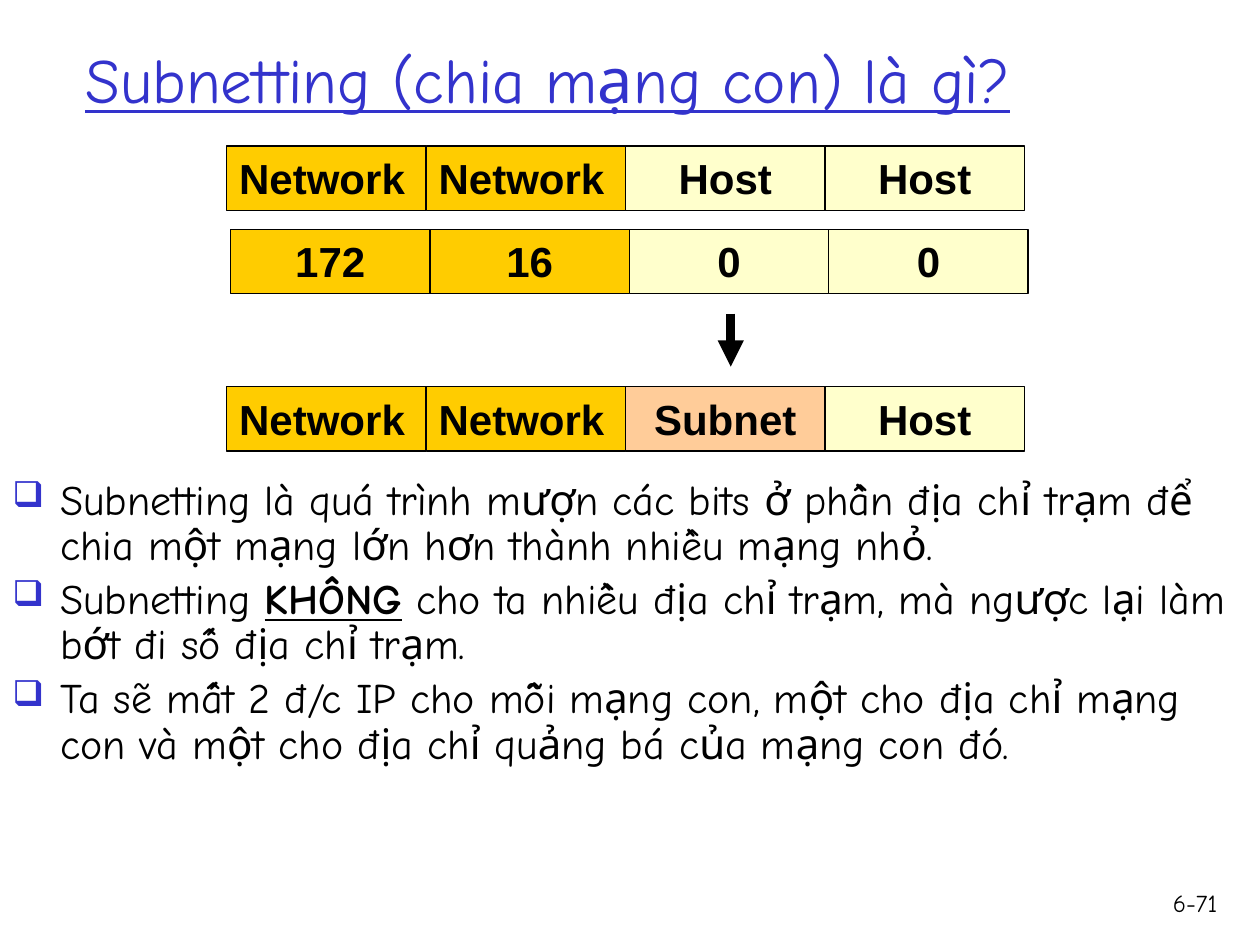
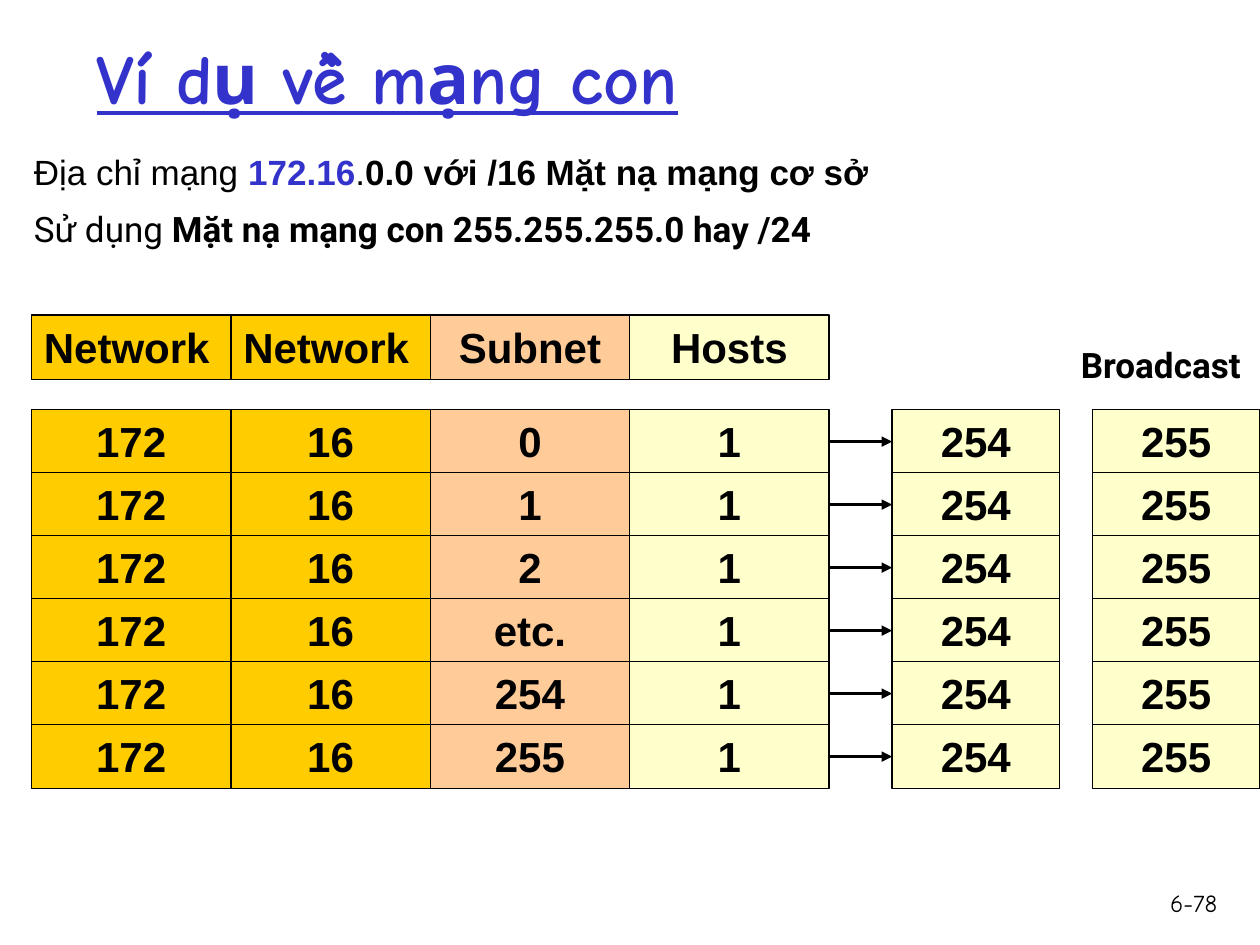
from dataclasses import dataclass

from lxml import etree
from pptx import Presentation
from pptx.dml.color import RGBColor
from pptx.enum.shapes import MSO_CONNECTOR, MSO_SHAPE
from pptx.enum.text import MSO_ANCHOR, PP_ALIGN
from pptx.oxml.ns import qn
from pptx.util import Inches, Pt

LEFT, CENTER, RIGHT = PP_ALIGN.LEFT, PP_ALIGN.CENTER, PP_ALIGN.RIGHT
TOP, MIDDLE = MSO_ANCHOR.TOP, MSO_ANCHOR.MIDDLE
RECTANGLE, STRAIGHT = MSO_SHAPE.RECTANGLE, MSO_CONNECTOR.STRAIGHT
LEFT_SIDE, RIGHT_SIDE = 1, 3


@dataclass(frozen=True)
class Theme:
    accent: str = "3333CC"
    ink: str = "000000"
    network: str = "FFCC00"
    subnet: str = "FFCC99"
    host: str = "FFFFCC"
    hand_font: str = "Comic Neue"
    cell_font: str = "Arial"
    label_font: str = "Roboto"
    number_size: int = 14
    label_size: int = 20
    text_size: int = 24
    cell_line: float = 0.75


THEME = Theme()

# Content: a run is plain text or (text, format changes)
BOLD = {"bold": True}

WHAT_TITLE = "Subnetting (chia mạng con) là gì?"
WHAT_POINTS = [
    ["Subnetting là quá trình mượn các bits ở phần địa chỉ trạm để chia một "
     "mạng lớn hơn thành nhiều mạng nhỏ."],
    ["Subnetting ", ("KHÔNG", {"bold": True, "underline": True}),
     " cho ta nhiều địa chỉ trạm, mà ngược lại làm bớt đi số địa chỉ trạm."],
    ["Ta sẽ mất 2 đ/c IP cho mỗi mạng con, một cho địa chỉ mạng con và một "
     "cho địa chỉ quảng bá của mạng con đó."],
]
PLAIN_FILLS = [THEME.network, THEME.network, THEME.host, THEME.host]
SUBNET_FILLS = [THEME.network, THEME.network, THEME.subnet, THEME.host]
WHAT_ROWS = [  # left, top, texts, fills
    (1.8, 1.16, ["Network", "Network", "Host", "Host"], PLAIN_FILLS),
    (1.83, 1.82, ["172", "16", "0", "0"], PLAIN_FILLS),
    (1.8, 3.07, ["Network", "Network", "Subnet", "Host"], SUBNET_FILLS),
]

EXAMPLE_TITLE = "Ví dụ về mạng con"
BASE_MASK = [["Địa chỉ mạng ", ("172.16", {"bold": True, "color": THEME.accent}),
              ".", ("0.0 với /16 Mặt nạ mạng cơ sở", BOLD)]]
SUBNET_MASK = [["Sử dụng ", ("Mặt nạ mạng con 255.255.255.0 hay /24", BOLD)]]
EXAMPLE_HEADS = ["Network", "Network", "Subnet", "Hosts"]
SUBNETS = ["0", "1", "2", "etc.", "254", "255"]
FIRST_HOST, LAST_HOST, BROADCAST = "1", "254", "255"

# Address grid
ROW_WIDTH, CELL_HEIGHT, END_WIDTH = 6.33, 0.51, 1.33
EXAMPLE_LEFT, HEAD_TOP = 0.25, 2.5
FIRST_TOP, ROW_PITCH = 3.25, 0.5
LAST_HOST_LEFT, BROADCAST_LEFT = 7.08, 8.67


def add_bullet(para):
    """Hollow square bullet in the accent colour."""
    properties = para._p.get_or_add_pPr()
    color = etree.SubElement(properties, qn("a:buClr"))
    etree.SubElement(color, qn("a:srgbClr"), val=THEME.accent)
    etree.SubElement(properties, qn("a:buSzPct"), val="85000")
    etree.SubElement(properties, qn("a:buChar"), char="❑")


def write_text(shape, paragraphs, *, size, font, color=THEME.ink, bold=False,
               underline=False, align=LEFT, anchor=TOP, bullets=False,
               hanging=0, line_spacing=None, gap=0):
    frame = shape.text_frame
    frame.word_wrap = True
    frame.vertical_anchor = anchor
    for index, runs in enumerate(paragraphs):
        para = frame.paragraphs[0] if index == 0 else frame.add_paragraph()
        para.alignment = align
        if line_spacing:
            para.line_spacing = line_spacing
        if index and gap:
            para.space_before = Pt(gap)
        if hanging:
            properties = para._p.get_or_add_pPr()
            properties.set("marL", str(Inches(hanging)))
            properties.set("indent", str(-Inches(hanging)))
        if bullets:
            add_bullet(para)
        for run in runs:
            text, changes = (run, {}) if isinstance(run, str) else run
            span = para.add_run()
            span.text = text
            span.font.name = font
            span.font.size = Pt(size)
            span.font.bold = changes.get("bold", bold)
            span.font.underline = changes.get("underline", underline)
            span.font.color.rgb = RGBColor.from_string(changes.get("color", color))


def add_text(page, place, paragraphs, **style):
    box = page.shapes.add_textbox(*map(Inches, place))
    write_text(box, paragraphs, **style)


def add_cell(page, left, top, width, text, fill):
    cell = page.shapes.add_shape(
        RECTANGLE, *map(Inches, (left, top, width, CELL_HEIGHT)))
    cell.shadow.inherit = False
    cell.fill.solid()
    cell.fill.fore_color.rgb = RGBColor.from_string(fill)
    cell.line.color.rgb = RGBColor.from_string(THEME.ink)
    cell.line.width = Pt(THEME.cell_line)
    write_text(cell, [[text]], size=THEME.text_size, font=THEME.cell_font,
               bold=True, align=LEFT if text == "Network" else CENTER)
    return cell


def add_address_row(page, left, top, texts, fills):
    width = ROW_WIDTH / len(texts)
    return [add_cell(page, left + column * width, top, width, text, fill)
            for column, (text, fill) in enumerate(zip(texts, fills))]


def add_arrow(page, start, end, width):
    arrow = page.shapes.add_connector(STRAIGHT, *map(Inches, (*start, *end)))
    arrow.line.color.rgb = RGBColor.from_string(THEME.ink)
    arrow.line.width = Pt(width)
    etree.SubElement(arrow.line._get_or_add_ln(), qn("a:tailEnd"), type="triangle")
    etree.SubElement(arrow._element.spPr, qn("a:effectLst"))
    return arrow


def add_page(deck, number, title, title_place, title_size, title_bold=False):
    """Blank page with the shared title style and page number."""
    page = deck.slides.add_slide(deck.slide_layouts[6])
    add_text(page, (9.08, 7, 0.68, 0.5), [[number]], size=THEME.number_size,
             font=THEME.hand_font, align=RIGHT)
    add_text(page, title_place, [[title]], size=title_size, font=THEME.hand_font,
             color=THEME.accent, bold=title_bold, underline=True, anchor=MIDDLE)
    return page


def build_what_page(deck):
    page = add_page(deck, "6-71", WHAT_TITLE, (0.58, 0, 8.5, 1.25), 36)
    add_text(page, (0, 3.75, 10, 3.35), WHAT_POINTS, size=THEME.text_size,
             font=THEME.hand_font, bullets=True, hanging=0.38,
             line_spacing=0.9, gap=5)
    for row in WHAT_ROWS:
        add_address_row(page, *row)
    add_arrow(page, (5.8, 2.49), (5.8, 2.91), 5)


def build_example_page(deck):
    page = add_page(deck, "6-78", EXAMPLE_TITLE, (0.67, 0.12, 7.06, 0.97), 40, True)
    add_text(page, (0.17, 1.18, 9.17, 0.58), BASE_MASK, size=THEME.label_size,
             font=THEME.cell_font, hanging=0.38, line_spacing=0.9)
    add_text(page, (0.17, 1.6, 9.25, 0.43), SUBNET_MASK, size=THEME.label_size,
             font=THEME.label_font)
    add_text(page, (8.48, 2.68, 1.71, 0.44), [["Broadcast"]],
             size=THEME.label_size, font=THEME.label_font, bold=True)
    add_address_row(page, EXAMPLE_LEFT, HEAD_TOP, EXAMPLE_HEADS, SUBNET_FILLS)

    # One row per subnet: first host, last host, broadcast
    for index, subnet in enumerate(SUBNETS):
        top = FIRST_TOP + index * ROW_PITCH
        first = add_address_row(page, EXAMPLE_LEFT, top,
                                ["172", "16", subnet, FIRST_HOST], SUBNET_FILLS)[-1]
        last = add_cell(page, LAST_HOST_LEFT, top, END_WIDTH, LAST_HOST, THEME.host)
        add_cell(page, BROADCAST_LEFT, top, END_WIDTH, BROADCAST, THEME.host)
        middle = top + CELL_HEIGHT / 2
        arrow = add_arrow(page, (EXAMPLE_LEFT + ROW_WIDTH, middle),
                          (LAST_HOST_LEFT, middle), 2)
        arrow.begin_connect(first, RIGHT_SIDE)
        arrow.end_connect(last, LEFT_SIDE)


def main():
    deck = Presentation()
    deck.slide_width, deck.slide_height = Inches(10), Inches(7.5)
    build_what_page(deck)
    build_example_page(deck)
    deck.save("out.pptx")


if __name__ == "__main__":
    main()
